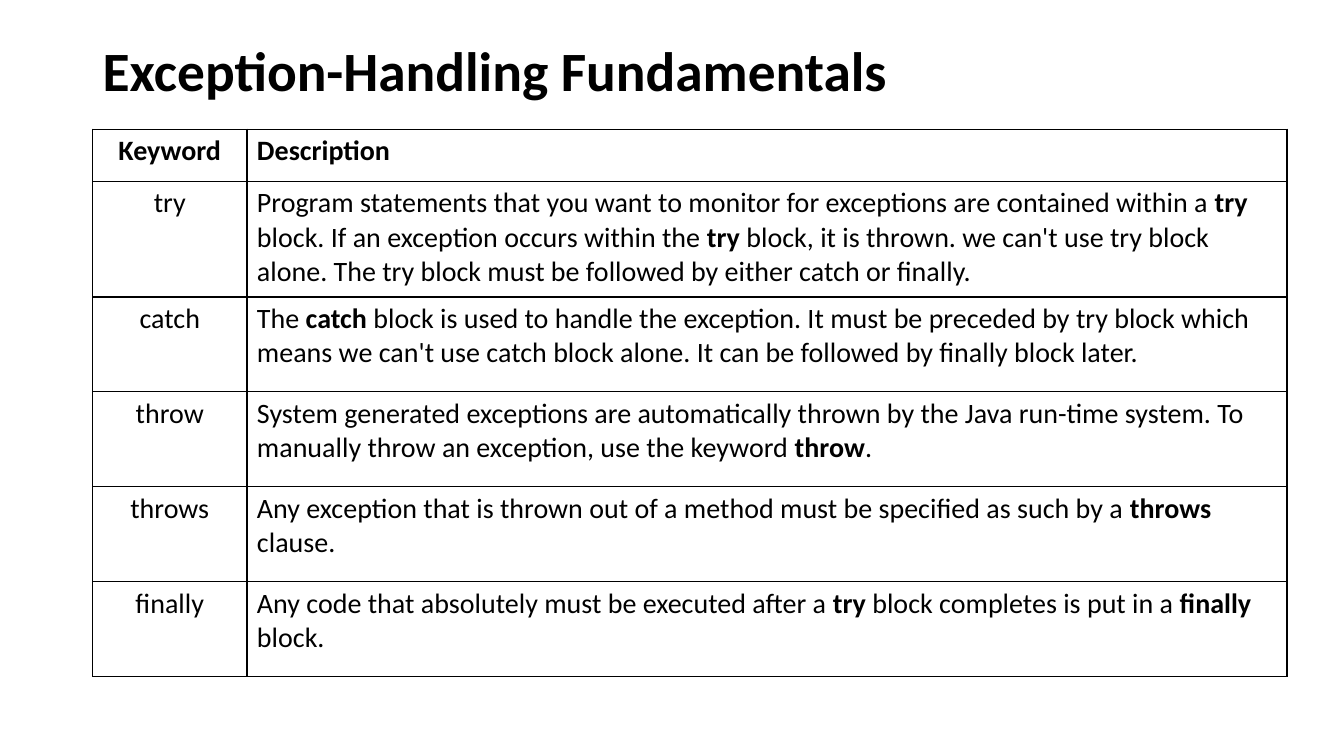
"""Build a slide with a table of exception-handling keywords."""
import lxml.etree
import pptx
import pptx.dml.color
import pptx.enum.text
import pptx.oxml.ns
import pptx.util

TITLE = "Exception-Handling Fundamentals"
ROWS = [
    ("*Keyword*", ["*Description*"]),
    ("try", ["Program statements that you want to monitor for exceptions are contained within a "
             "*try *block. If an exception occurs within the *try *block, it is thrown. "
             "we can't use try block alone. The try block must be followed by either catch or finally."]),
    ("catch", ["The *catch* block is used to handle the exception. It must be preceded by try block "
               "which means we can't use catch block alone. It can be followed by finally block later."]),
    ("throw", ["System generated exceptions are automatically thrown by the Java run-time system. To",
               "manually throw an exception, use the keyword *throw*."]),
    ("throws", ["Any exception that is thrown out of a method must be specified as such by a "
                "*throws *clause."]),
    ("finally", ["Any code that absolutely must be executed after a *try *block completes is put in a "
                 "*finally*", "block."]),
]
COLORS = {"text": "000000", "border": "000000"}
FONT = "Calibri"
LEFT = 66.2
TITLE_BOX = (LEFT, 28.8, 828, 47.5)
TABLE_TOP = 92.2
COLUMN_WIDTHS = [110.2, 743]
ROW_HEIGHTS = [37.2, 82.7] + [67.8] * 4
Pt = pptx.util.Pt
ALIGN = pptx.enum.text.PP_ALIGN


def style_paragraph(para, size, align):
    """Set the font and alignment of a paragraph."""
    para.alignment = align
    para.font.name = FONT
    para.font.size = Pt(size)
    para.font.color.rgb = pptx.dml.color.RGBColor.from_string(COLORS["text"])


def add_marked_text(para, text):
    """Add runs, making the parts between asterisks bold."""
    for index, part in enumerate(text.split("*")):
        if part:
            span = para.add_run()
            span.text = part
            span.font.bold = index % 2 == 1


def fill_cell(cell, lines, align):
    """Write the paragraphs of a cell and draw its borders."""
    frame = cell.text_frame
    for index, line in enumerate(lines):
        para = frame.add_paragraph() if index else frame.paragraphs[0]
        style_paragraph(para, 20, align)
        add_marked_text(para, line)
    cell.fill.background()
    properties = cell._tc.get_or_add_tcPr()
    qn = pptx.oxml.ns.qn
    for index, side in enumerate(("a:lnL", "a:lnR", "a:lnT", "a:lnB")):
        border = lxml.etree.Element(qn(side), w=str(Pt(1)))
        solid = lxml.etree.SubElement(border, qn("a:solidFill"))
        lxml.etree.SubElement(solid, qn("a:srgbClr"), val=COLORS["border"])
        properties.insert(index, border)


def add_title(slide):
    """Place and format the title."""
    title = slide.shapes.title
    title.left, title.top, title.width, title.height = map(Pt, TITLE_BOX)
    frame = title.text_frame
    frame.text = TITLE
    frame.word_wrap = True
    frame.auto_size = pptx.enum.text.MSO_AUTO_SIZE.NONE
    frame.vertical_anchor = pptx.enum.text.MSO_ANCHOR.MIDDLE
    para = frame.paragraphs[0]
    style_paragraph(para, 39.6, ALIGN.LEFT)
    para.font.bold = True
    para.line_spacing = 0.9


def add_keyword_table(slide):
    """Add the table of keywords and descriptions."""
    table = slide.shapes.add_table(
        len(ROWS), len(COLUMN_WIDTHS), Pt(LEFT), Pt(TABLE_TOP),
        Pt(sum(COLUMN_WIDTHS)), Pt(sum(ROW_HEIGHTS))).table
    table.first_row = False
    table.horz_banding = False
    for column, width in zip(table.columns, COLUMN_WIDTHS):
        column.width = Pt(width)
    for row, height, (keyword, description) in zip(table.rows, ROW_HEIGHTS, ROWS):
        row.height = Pt(height)
        fill_cell(row.cells[0], [keyword], ALIGN.CENTER)
        fill_cell(row.cells[1], description, ALIGN.LEFT)


def main():
    """Create and save the deck."""
    deck = pptx.Presentation()
    deck.slide_width, deck.slide_height = Pt(960), Pt(540)
    slide = deck.slides.add_slide(deck.slide_layouts[5])
    add_title(slide)
    add_keyword_table(slide)
    deck.save("out.pptx")


if __name__ == "__main__":
    main()
